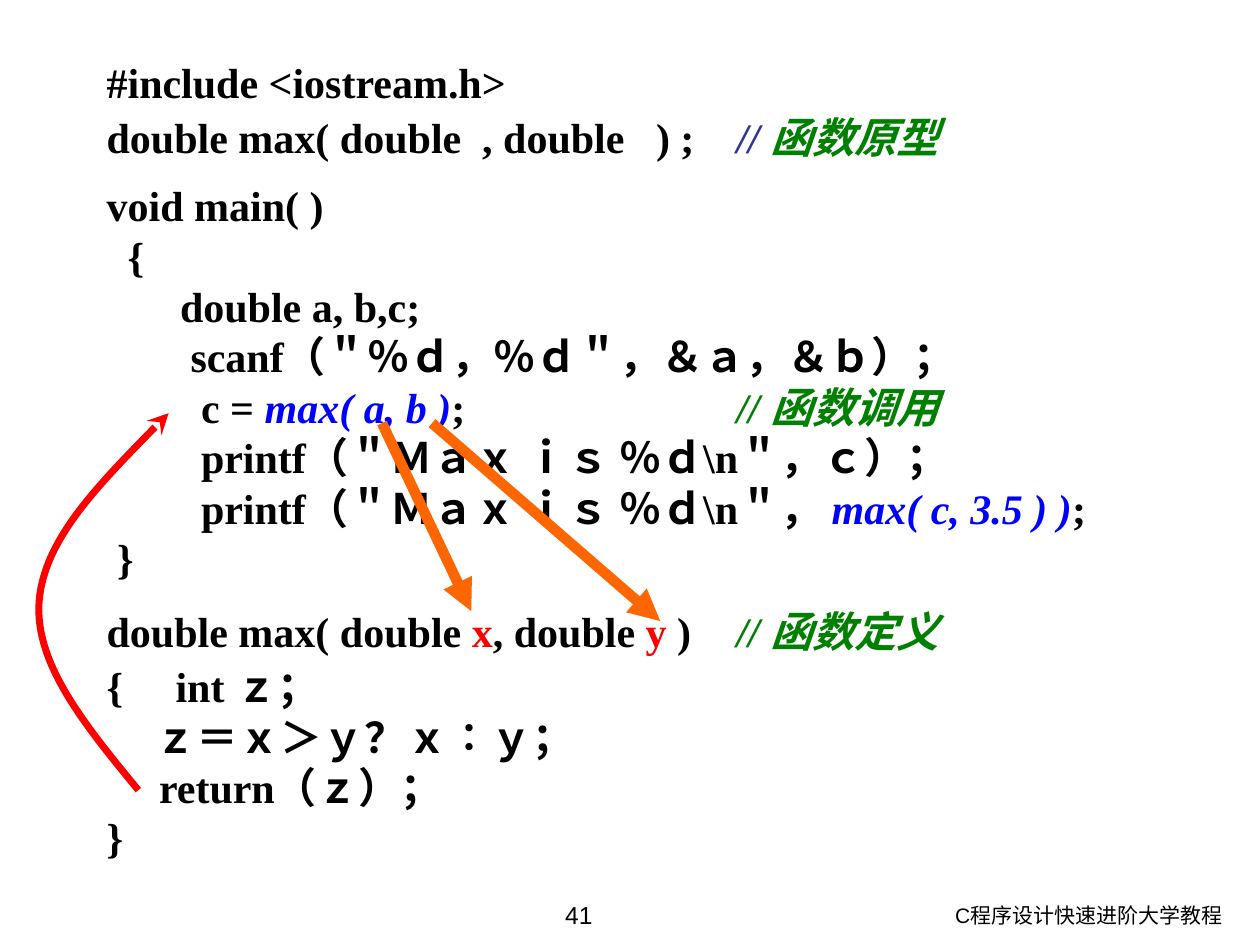
from dataclasses import dataclass

import lxml.etree
import pptx
import pptx.dml.color
import pptx.enum.shapes
import pptx.enum.text
import pptx.oxml
import pptx.oxml.ns
import pptx.util

Cm = pptx.util.Cm
Pt = pptx.util.Pt
Align = pptx.enum.text.PP_ALIGN
qn = pptx.oxml.ns.qn


@dataclass(frozen=True)
class Theme:
    paper: str = "FFFFFF"
    ink: str = "000000"
    call: str = "0000FF"
    comment: str = "008000"
    slashes: str = "333399"
    parameter: str = "FF0000"
    argument_arrow: str = "FF6600"
    return_arrow: str = "FF0000"
    code_font: str = "Times New Roman"
    footer_font: str = "Arial"
    code_size: int = 24
    number_size: int = 14
    footer_size: int = 12
    loose_spacing: float = 1.1
    section_gap: int = 10


THEME = Theme()


@dataclass(frozen=True)
class Run:
    text: str
    color: str = THEME.ink
    italic: bool = False


@dataclass(frozen=True)
class CodeLine:
    runs: tuple[Run, ...]
    loose: bool = False
    starts_section: bool = False


@dataclass(frozen=True)
class Footer:
    text: str
    box: tuple[float, float, float, float]
    size: int
    alignment: Align


@dataclass(frozen=True)
class Arrow:
    start: tuple[float, float]
    end: tuple[float, float]


def plain(text: str, **options: bool) -> CodeLine:
    return CodeLine((Run(text),), **options)


def call(text: str) -> Run:
    return Run(text, THEME.call, True)


def comment(text: str) -> Run:
    return Run(text, THEME.comment, True)


def parameter(text: str) -> Run:
    return Run(text, THEME.parameter)


COMMENT_TAB = 12.7
CODE_BOX = (1.9, 0.91, 22.4, 16.61)
CODE = (
    plain("#include <iostream.h>", loose=True),
    CodeLine((Run("double max( double  , double   ) ;\t"),
              Run("// ", THEME.slashes, True), comment("函数原型")), loose=True),
    plain("void main( )", starts_section=True),
    plain("  {"),
    plain("       double a, b,c;"),
    plain("        scanf（＂％ｄ，％ｄ＂，＆ａ，＆ｂ）；"),
    CodeLine((Run("         c = "), call("max( a, b )"), Run(";\t"), comment("// 函数调用"))),
    plain("         printf（＂Ｍａｘ ｉｓ ％ｄ\\n＂，ｃ）；"),
    CodeLine((Run("         printf（＂Ｍａｘ ｉｓ ％ｄ\\n＂， "), call("max( c, 3.5 ) )"), Run(";"))),
    plain(" }"),
    CodeLine((Run("double max( double "), parameter("x"), Run(", double "), parameter("y"),
              Run(" )\t"), comment("// 函数定义")), loose=True, starts_section=True),
    plain("{     int ｚ；", loose=True),
    plain("     ｚ＝ｘ＞ｙ？ｘ∶ｙ；"),
    plain("     return（ｚ）；"),
    plain("}"),
)
FOOTERS = (
    Footer("C程序设计快速进阶大学教程", (16.69, 18.06, 8.2, 0.99), THEME.footer_size, Align.RIGHT),
    Footer("41", (8.71, 18.01, 5.92, 1.04), THEME.number_size, Align.CENTER),
)
ARGUMENT_ARROWS = (
    Arrow((7.7, 8.53), (9.5, 12.32)),
    Arrow((8.71, 8.53), (13.31, 12.52)),
)
# Start point, then two control points and an end point for each curve.
RETURN_CURVE = (
    (2.79, 15.93),
    (1.75, 14.66), (0.69, 13.39), (0.79, 12.12),
    (0.89, 10.87), (2.16, 9.6), (3.4, 8.33),
)


def rgb(color: str) -> pptx.dml.color.RGBColor:
    return pptx.dml.color.RGBColor.from_string(color)


def lengths(values: tuple[float, ...]) -> list[int]:
    return [Cm(value) for value in values]


def add_text(paragraph, text: str, *, font: str, size: int, color: str = THEME.ink,
             bold: bool = False, italic: bool = False) -> None:
    run = paragraph.add_run()
    run.text = text
    run.font.name = font
    run.font.size = Pt(size)
    run.font.bold = bold
    run.font.italic = italic
    run.font.color.rgb = rgb(color)


def add_tab_stop(paragraph, position: float) -> None:
    tabs = lxml.etree.SubElement(paragraph._p.get_or_add_pPr(), qn("a:tabLst"))
    lxml.etree.SubElement(tabs, qn("a:tab"), pos=str(Cm(position)), algn="l")


def add_footer(slide, footer: Footer) -> None:
    frame = slide.shapes.add_textbox(*lengths(footer.box)).text_frame
    frame.word_wrap = True
    paragraph = frame.paragraphs[0]
    paragraph.alignment = footer.alignment
    add_text(paragraph, footer.text, font=THEME.footer_font, size=footer.size)


def add_code(slide, lines: tuple[CodeLine, ...]) -> None:
    shape = slide.shapes.add_shape(pptx.enum.shapes.MSO_SHAPE.RECTANGLE, *lengths(CODE_BOX))
    shape.shadow.inherit = False
    shape.fill.solid()
    shape.fill.fore_color.rgb = rgb(THEME.paper)
    shape.line.color.rgb = rgb(THEME.paper)
    shape.line.width = Pt(0.75)
    frame = shape.text_frame
    frame.word_wrap = True
    frame.vertical_anchor = pptx.enum.text.MSO_ANCHOR.TOP
    for index, line in enumerate(lines):
        paragraph = frame.add_paragraph() if index else frame.paragraphs[0]
        add_tab_stop(paragraph, COMMENT_TAB)
        paragraph.alignment = Align.LEFT
        if line.loose:
            paragraph.line_spacing = THEME.loose_spacing
        if line.starts_section:
            paragraph.space_before = Pt(THEME.section_gap)
        for run in line.runs:
            add_text(paragraph, run.text, font=THEME.code_font, size=THEME.code_size,
                     color=run.color, bold=True, italic=run.italic)


def style_arrow(shape, color: str, width: float, head: str) -> None:
    shape.line.color.rgb = rgb(color)
    shape.line.width = Pt(width)
    lxml.etree.SubElement(shape.line._get_or_add_ln(), qn("a:tailEnd"), type=head)


def add_argument_arrow(slide, arrow: Arrow) -> None:
    connector = slide.shapes.add_connector(
        pptx.enum.shapes.MSO_CONNECTOR.STRAIGHT, *lengths(arrow.start + arrow.end))
    style_arrow(connector, THEME.argument_arrow, 6, "triangle")
    lxml.etree.SubElement(connector._element.spPr, qn("a:effectLst"))


def add_return_arrow(slide, points: tuple[tuple[float, float], ...]) -> None:
    """Draw an open arrow, turning every three segments into one cubic curve."""
    start, *others = [lengths(point) for point in points]
    builder = slide.shapes.build_freeform(*start)
    builder.add_line_segments(others, close=False)
    shape = builder.convert_to_shape()
    segments = list(shape._element.iter(qn("a:lnTo")))
    for first in range(0, len(segments), 3):
        curve = lxml.etree.Element(qn("a:cubicBezTo"))
        segments[first].addprevious(curve)
        for segment in segments[first:first + 3]:
            curve.append(segment[0])
            segment.getparent().remove(segment)
    shape.shadow.inherit = False
    shape.fill.background()
    style_arrow(shape, THEME.return_arrow, 4, "stealth")


def main() -> None:
    presentation = pptx.Presentation()
    presentation.slide_width, presentation.slide_height = lengths((25.4, 19.05))
    slide = presentation.slides.add_slide(presentation.slide_layouts[6])
    for footer in FOOTERS:
        add_footer(slide, footer)
    add_code(slide, CODE)
    for arrow in ARGUMENT_ARROWS:
        add_argument_arrow(slide, arrow)
    add_return_arrow(slide, RETURN_CURVE)
    presentation.save("out.pptx")


if __name__ == "__main__":
    main()
